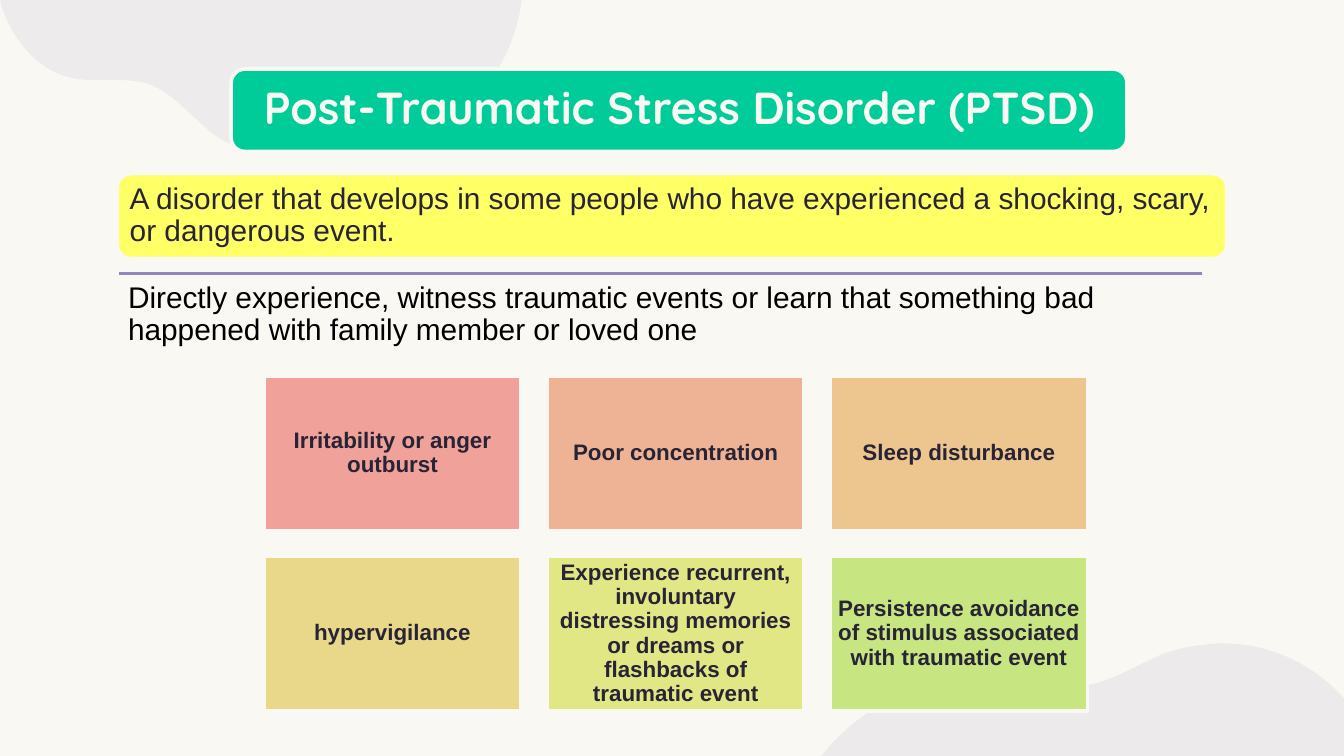
from lxml import etree
from pptx import Presentation
from pptx import util as u
from pptx.dml.color import RGBColor
from pptx.enum import shapes, text
from pptx.oxml.ns import qn

CREAM = RGBColor(0xF9, 0xF8, 0xF2)
INK = RGBColor(0x28, 0x24, 0x35)
BLACK = RGBColor(0x00, 0x00, 0x00)
GREEN = RGBColor(0x00, 0xCC, 0x99)
YELLOW = RGBColor(0xFF, 0xFF, 0x66)
LAVENDER = RGBColor(0x94, 0x85, 0xBA)
VIOLET = RGBColor(0x79, 0x68, 0xAF)

TOP_BLOB = [
    (0, 0),
    (279.4, 0),
    (278.6, 7.9, 276.5, 15.8, 273.6, 23),
    (267.1, 40.3, 253.4, 56.9, 235.4, 59),
    (227.5, 60.5, 219.6, 59, 211.7, 56.2),
    (201.6, 51.8, 189.4, 55.4, 182.2, 64.1),
    (176.4, 70.6, 169.9, 74.9, 162.7, 78.5),
    (148.3, 83.5, 131.8, 82.1, 118.8, 74.9),
    (115.2, 72.7, 111.6, 69.8, 108.7, 67),
    (98.6, 58.3, 90, 48.2, 78.5, 44.6),
    (65.5, 41, 51.8, 44.6, 38.9, 41.8),
    (20.2, 38.2, 6.5, 20.9, 0.7, 2.9),
    (0.7, 1.4, 0, 0.7, 0, 0),
]
BOTTOM_BLOB = [
    (643.7, 345.6),
    (637.2, 346.3, 630.7, 347.8, 624.2, 349.9),
    (609.8, 355.7, 595.4, 365.8, 578.2, 367.9),
    (577.4, 368.6, 576.7, 368.6, 576, 368.6),
    (560.2, 370.8, 543.6, 365, 527.8, 364.3),
    (522, 364.3, 516.2, 364.3, 510.5, 365),
    (475.9, 368.6, 444.2, 391.7, 428.4, 423.4),
    (410.4, 459.4, 414, 504.7, 434.9, 540),
    (455, 574.6, 491.8, 599, 531.4, 607.7),
    (550.1, 611.3, 569.5, 612, 589, 609.8),
    (609.8, 607, 630.7, 601.9, 650.2, 591.8),
    (668.2, 583.2, 684.7, 572.4, 703.4, 565.2),
    (712.8, 560.9, 722.9, 558, 733, 556.6),
    (742.3, 555.8, 752.4, 555.8, 761, 558.7),
    (785.5, 542.2),
    (769.7, 543.6, 754.6, 532.1, 747.4, 517),
    (740.9, 502.6, 740.2, 486, 740.9, 470.2),
    (741.6, 453.6, 743.8, 437.8, 741.6, 421.9),
    (738.7, 396, 722.9, 371.5, 700.6, 357.8),
    (683.3, 347, 663.1, 342.7, 643.7, 345.6),
]
SYMPTOMS = [
    ("Irritability or anger outburst", RGBColor(0xF0, 0xA2, 0x9A)),
    ("Poor concentration", RGBColor(0xEE, 0xB2, 0x95)),
    ("Sleep disturbance", RGBColor(0xEC, 0xC5, 0x8F)),
    ("hypervigilance", RGBColor(0xEA, 0xD8, 0x8A)),
    ("Experience recurrent, involuntary distressing memories or dreams "
     "or flashbacks of traumatic event", RGBColor(0xE2, 0xE7, 0x85)),
    ("Persistence avoidance of stimulus associated with traumatic event",
     RGBColor(0xC7, 0xE5, 0x80)),
]


def bend_segments(blob, segments):
    """Turn straight outline segments into cubic curves where controls are given."""
    lines = blob._element.findall(".//" + qn("a:lnTo"))
    for line, segment in zip(lines, segments):
        if len(segment) == 2:
            continue
        line.tag = qn("a:cubicBezTo")
        for index in (0, 1):
            x, y = segment[2 * index:2 * index + 2]
            control = etree.Element(qn("a:pt"), x=str(u.Pt(x) - blob.left),
                                    y=str(u.Pt(y) - blob.top))
            line.insert(index, control)


def add_blob(page, outline, color, opacity):
    """Draw a translucent curved background shape."""
    ends = [(u.Pt(segment[-2]), u.Pt(segment[-1])) for segment in outline]
    builder = page.shapes.build_freeform(*ends[0], scale=1.0)
    builder.add_line_segments(ends[1:], close=True)
    blob = builder.convert_to_shape()
    bend_segments(blob, outline[1:])
    blob.shadow.inherit = False
    blob.fill.solid()
    blob.fill.fore_color.rgb = color
    blob.line.fill.background()
    fill_color = blob._element.spPr.find(qn("a:solidFill"))[0]
    etree.SubElement(fill_color, qn("a:alpha"), val=str(opacity * 1000))


def write_text(shape, words, size, color, font="Arial", bold=False,
               align=text.PP_ALIGN.LEFT, anchor=text.MSO_ANCHOR.MIDDLE, inset=5):
    """Fill a shape with one paragraph of formatted text."""
    frame = shape.text_frame
    frame.word_wrap = True
    frame.vertical_anchor = anchor
    frame.margin_left = frame.margin_right = u.Pt(inset)
    frame.margin_top = frame.margin_bottom = u.Pt(inset)
    para = frame.paragraphs[0]
    para.text = words
    para.alignment = align
    para.line_spacing = 0.9
    para.font.name = font
    para.font.size = u.Pt(size)
    para.font.bold = bold
    para.font.color.rgb = color


def add_panel(page, kind, left, top, width, height, color):
    """Add a filled box with a cream outline."""
    box = page.shapes.add_shape(kind, u.Pt(left), u.Pt(top), u.Pt(width), u.Pt(height))
    box.shadow.inherit = False
    box.fill.solid()
    box.fill.fore_color.rgb = color
    box.line.color.rgb = CREAM
    box.line.width = u.Pt(2)
    return box


def add_rule(page, left, right, top):
    """Draw the horizontal divider."""
    rule = page.shapes.add_connector(
        shapes.MSO_CONNECTOR.STRAIGHT, u.Pt(left), u.Pt(top), u.Pt(right), u.Pt(top))
    rule.line.color.rgb = LAVENDER
    rule.line.width = u.Pt(2)
    etree.SubElement(rule._element.spPr, qn("a:effectLst"))


def add_symptoms(page):
    """Lay out the symptom cards in three columns."""
    for index, (words, color) in enumerate(SYMPTOMS):
        row, column = divmod(index, 3)
        card = add_panel(page, shapes.MSO_SHAPE.RECTANGLE, 141.4 + 151.7 * column,
                         201.5 + 96.6 * row, 137.8, 82.8, color)
        write_text(card, words, 12, INK, bold=True,
                   align=text.PP_ALIGN.CENTER, inset=3.6)


def main():
    """Build the slide and save it."""
    deck = Presentation()
    deck.slide_width, deck.slide_height = u.Pt(720), u.Pt(405)
    page = deck.slides.add_slide(deck.slide_layouts[6])
    page.background.fill.solid()
    page.background.fill.fore_color.rgb = CREAM

    add_blob(page, TOP_BLOB, VIOLET, 9)
    add_blob(page, BOTTOM_BLOB, LAVENDER, 12)

    add_rule(page, 63.8, 643.9, 146.6)
    cause = page.shapes.add_textbox(u.Pt(63.8), u.Pt(146.6), u.Pt(580), u.Pt(44))
    write_text(cause, "Directly experience, witness traumatic events or learn that "
               "something bad happened with family member or loved one", 16, BLACK,
               anchor=text.MSO_ANCHOR.TOP, inset=4.8)

    rounded = shapes.MSO_SHAPE.ROUNDED_RECTANGLE
    title = add_panel(page, rounded, 123.8, 37, 480, 44.2, GREEN)
    write_text(title, "Post-Traumatic Stress Disorder (PTSD)", 24, CREAM,
               font="Quicksand", bold=True, align=text.PP_ALIGN.CENTER)

    definition = add_panel(page, rounded, 62.7, 93, 594.5, 45.5, YELLOW)
    write_text(definition, "A disorder that develops in some people who have experienced "
               "a shocking, scary, or dangerous event.", 16, INK, inset=4.6)

    add_symptoms(page)
    deck.save("out.pptx")


if __name__ == "__main__":
    main()
